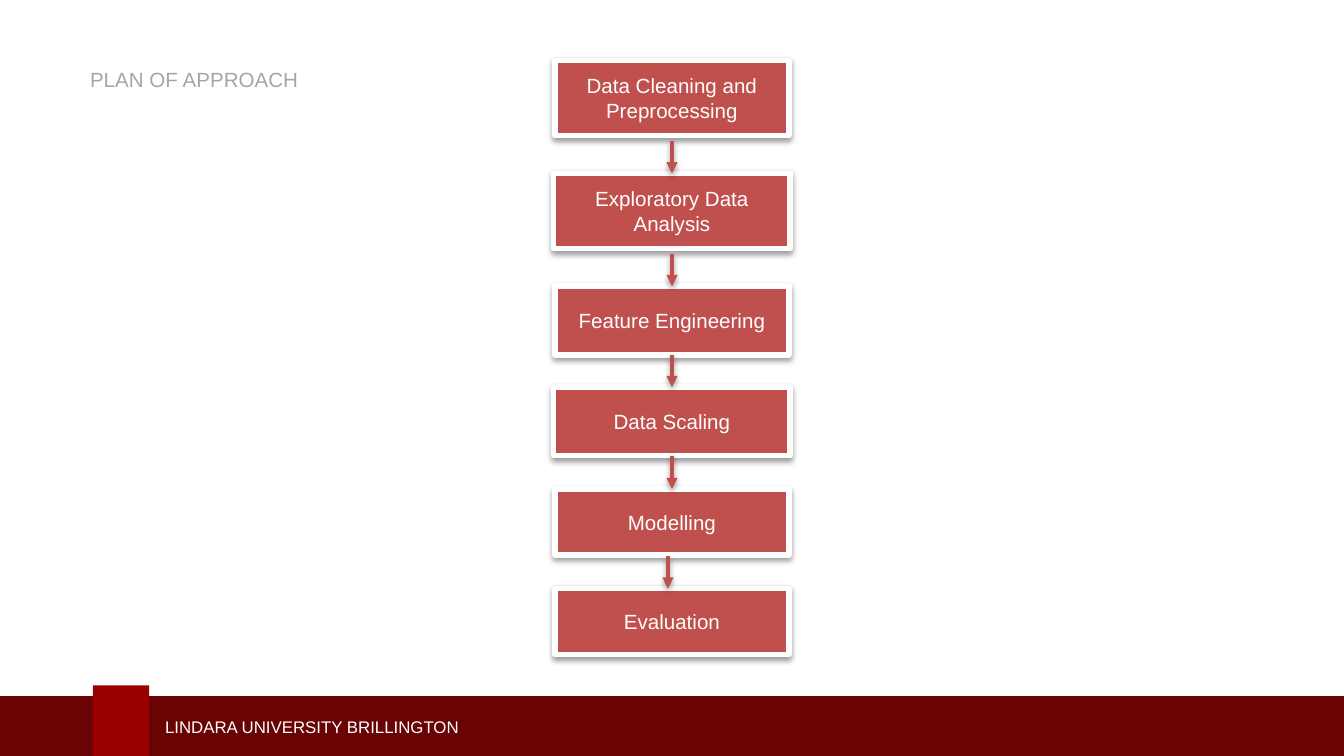
from dataclasses import dataclass

from lxml import etree
from pptx import Presentation
from pptx.dml.color import RGBColor
from pptx.enum.shapes import MSO_CONNECTOR, MSO_SHAPE
from pptx.enum.text import MSO_ANCHOR, MSO_AUTO_SIZE, PP_ALIGN
from pptx.oxml import parse_xml
from pptx.oxml.ns import nsdecls, qn
from pptx.util import Inches, Pt

RECT, STRAIGHT = MSO_SHAPE.RECTANGLE, MSO_CONNECTOR.STRAIGHT
TOP, MIDDLE = MSO_ANCHOR.TOP, MSO_ANCHOR.MIDDLE
LEFT, CENTER = PP_ALIGN.LEFT, PP_ALIGN.CENTER
NO_FIT = MSO_AUTO_SIZE.NONE

W = 10
H = W * 9 / 16
CENTER_X = W / 2
FLOW_TOP = 0.45
ARROW_LEN = 0.24
JOIN_LIMIT = 0.02
WHITE, BRICK, GREY = "FFFFFF", "C0504D", "A6A6A6"
MAROON, CRIMSON = "690304", "990000"


@dataclass
class Step:
    text: str
    width: float
    height: float
    clearance: float = 0    # space between the box and its outgoing arrow
    arrow_shift: float = 0  # sideways offset of that arrow


STEPS = [
    Step("Data Cleaning and Preprocessing", 1.74, 0.56, 0.04),
    Step("Exploratory Data Analysis", 1.76, 0.56, 0.04),
    Step("Feature Engineering", 1.74, 0.51),
    Step("Data Scaling", 1.76, 0.51, 0.01),
    Step("Modelling", 1.74, 0.49, 0.01, -0.03),
    Step("Evaluation", 1.74, 0.49),
]


def rgb(value: str) -> RGBColor:
    return RGBColor.from_string(value)


def place(sp, x: float, y: float, w: float, h: float) -> None:
    sp.left, sp.top, sp.width, sp.height = (Inches(v) for v in (x, y, w, h))


def add_soft_shadow(sp) -> None:
    sp.element.spPr.append(parse_xml(
        f'<a:effectLst {nsdecls("a")}>'
        '<a:outerShdw blurRad="40000" dist="20000" dir="5400000" rotWithShape="0">'
        '<a:srgbClr val="000000"><a:alpha val="38000"/></a:srgbClr>'
        '</a:outerShdw></a:effectLst>'))


def write(sp, text: str, size: float, color: str, align=LEFT, anchor=MIDDLE) -> None:
    tf = sp.text_frame
    tf.word_wrap = True
    tf.auto_size = NO_FIT
    tf.vertical_anchor = anchor
    p = tf.paragraphs[0]
    p.alignment = align
    r = p.add_run()
    r.text = text
    r.font.name, r.font.size = "Arial", Pt(size)
    r.font.color.rgb = rgb(color)


def add_bar(s, x: float, y: float, w: float, h: float, fill: str) -> None:
    sp = s.shapes.add_shape(RECT, 0, 0, 0, 0)
    place(sp, x, y, w, h)
    sp.fill.solid()
    sp.fill.fore_color.rgb = rgb(fill)
    sp.line.fill.background()
    sp.shadow.inherit = False


def add_step(s, step: Step, top: float):
    sp = s.shapes.add_shape(RECT, 0, 0, 0, 0)
    place(sp, CENTER_X - step.width / 2, top, step.width, step.height)
    sp.fill.solid()
    sp.fill.fore_color.rgb = rgb(BRICK)
    sp.line.color.rgb = rgb(WHITE)
    sp.line.width = Pt(3)
    add_soft_shadow(sp)
    write(sp, step.text, 11, WHITE, CENTER)
    return sp


def add_arrow(s, step: Step, source, target, start: float) -> None:
    x = Inches(CENTER_X + step.arrow_shift)
    line = s.shapes.add_connector(STRAIGHT, x, Inches(start), x, target.top)
    line.line.color.rgb = rgb(BRICK)
    line.line.width = Pt(2)
    etree.SubElement(line.line._get_or_add_ln(), qn("a:tailEnd"), type="triangle")
    add_soft_shadow(line)
    if not step.arrow_shift:
        line.end_connect(target, 0)
        if step.clearance < JOIN_LIMIT:
            line.begin_connect(source, 2)


def main() -> None:
    prs = Presentation()
    prs.slide_width, prs.slide_height = Inches(W), Inches(H)
    s = prs.slides.add_slide(prs.slide_layouts[5])

    # Footer band
    add_bar(s, -0.03, 5.18, 10.09, 0.5, MAROON)
    add_bar(s, 0.69, 5.1, 0.42, 0.58, CRIMSON)
    footer = s.shapes.add_textbox(0, 0, 0, 0)
    place(footer, 1.13, 5.28, 3.95, 0.25)
    write(footer, "LINDARA UNIVERSITY BRILLINGTON", 9, WHITE)

    # Title
    place(s.shapes.title, 0.57, 0.45, 2.78, 0.29)
    write(s.shapes.title, "PLAN OF APPROACH", 11, GREY, anchor=TOP)

    # Flow of steps, stacked from the top
    boxes, arrow_starts = [], []
    top = FLOW_TOP
    for step in STEPS:
        boxes.append(add_step(s, step, top))
        arrow_starts.append(top + step.height + step.clearance)
        top = arrow_starts[-1] + ARROW_LEN

    # Arrows between neighbouring steps
    for step, source, target, start in zip(STEPS, boxes, boxes[1:], arrow_starts):
        add_arrow(s, step, source, target, start)

    prs.save("out.pptx")


if __name__ == "__main__":
    main()
